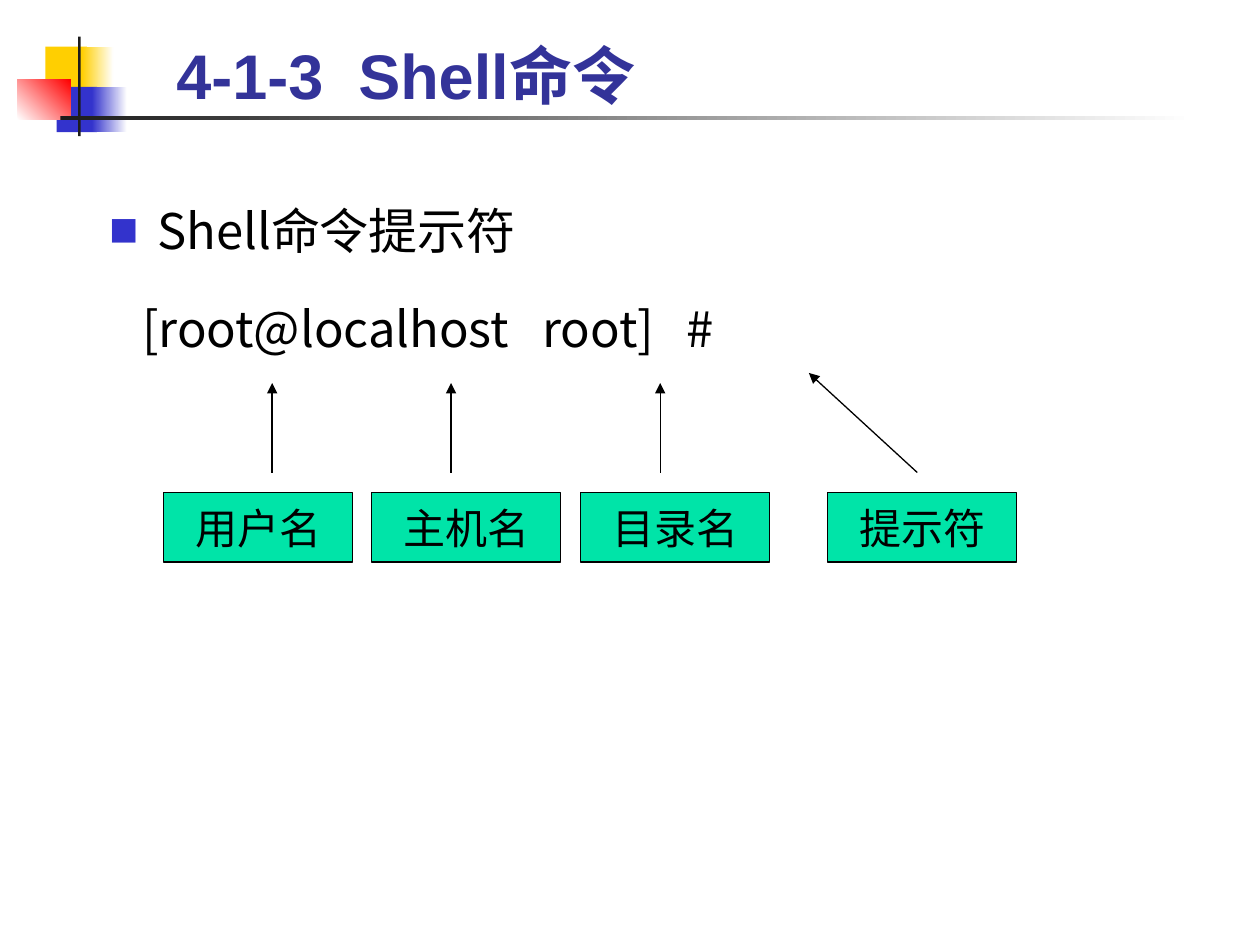
from dataclasses import dataclass

from lxml import etree
from pptx import Presentation
from pptx.dml.color import RGBColor
from pptx.enum.shapes import MSO_CONNECTOR, MSO_SHAPE
from pptx.enum.text import MSO_ANCHOR, PP_ALIGN
from pptx.oxml.ns import qn
from pptx.util import Inches, Pt

RECT = MSO_SHAPE.RECTANGLE
STRAIGHT = MSO_CONNECTOR.STRAIGHT
BOTTOM, MIDDLE = MSO_ANCHOR.BOTTOM, MSO_ANCHOR.MIDDLE
LEFT, CENTER = PP_ALIGN.LEFT, PP_ALIGN.CENTER


@dataclass(frozen=True)
class Theme:
    title: str = "333399"
    ink: str = "000000"
    white: str = "FFFFFF"
    yellow: str = "FFCF01"
    blue: str = "3333CC"
    red: str = "FF0000"
    dark: str = "1C1C1C"
    label: str = "00E4A8"
    title_font: str = "Arial"
    body_font: str = "Noto Sans CJK SC"
    label_font: str = "Times New Roman"
    title_size: int = 36
    body_size: int = 28
    label_size: int = 24
    line: float = 0.75


T = Theme()

# Label row: box lefts, shared top and size, and the arrows above
LABELS = [("用户名", 1.3), ("主机名", 2.95), ("目录名", 4.61), ("提示符", 6.57)]
LABEL_TOP, LABEL_W, LABEL_H = 3.91, 1.5, 0.55
ARROW_BASE, ARROW_TIP = 3.75, 3.04
ARROWS = [((x, ARROW_BASE), (x, ARROW_TIP)) for x in (2.16, 3.58, 5.24)]
ARROWS.append(((7.28, ARROW_BASE), (6.42, 2.96)))


def rgb(color):
    return RGBColor.from_string(color)


def add_run(p, text, font, size, color, bold=False):
    r = p.add_run()
    r.text = text
    r.font.name, r.font.size, r.font.bold = font, Pt(size), bold
    r.font.color.rgb = rgb(color)
    ea = etree.Element(qn("a:ea"), typeface=T.body_font)
    r.font._element.find(qn("a:latin")).addnext(ea)


def add_rect(s, box, start, end=None, angle=0):
    """Borderless rectangle, solid or fading from start to end."""
    sp = s.shapes.add_shape(RECT, *map(Inches, box))
    sp.shadow.inherit = False
    sp.line.fill.background()
    if end is None:
        sp.fill.solid()
        sp.fill.fore_color.rgb = rgb(start)
    else:
        sp.fill.gradient()
        sp.fill.gradient_angle = angle
        for stop, color in zip(sp.fill.gradient_stops, (start, end)):
            stop.color.rgb = rgb(color)
    return sp


def add_ornament(s):
    add_rect(s, (0.36, 0.37, 0.33, 0.36), T.yellow)
    add_rect(s, (0.65, 0.37, 0.25, 0.36), T.yellow, T.white)
    add_rect(s, (0.45, 0.69, 0.32, 0.36), T.blue)
    add_rect(s, (0.73, 0.69, 0.28, 0.36), T.blue, T.white)
    add_rect(s, (0.14, 0.63, 0.42, 0.32), T.white, T.red, 45)
    add_rect(s, (0.62, 0.29, 0.02, 0.79), T.dark)
    add_rect(s, (0.48, 0.92, 9, 0.03), T.dark, T.white)


def set_title(s, text):
    sp = s.shapes.title
    sp.left, sp.top, sp.width, sp.height = map(Inches, (1.3, 0.26, 8.52, 0.68))
    tf = sp.text_frame
    tf.vertical_anchor = BOTTOM
    p = tf.paragraphs[0]
    p.alignment = LEFT
    add_run(p, text, T.title_font, T.title_size, T.title, True)


def format_body(p, margin, indent=0, bullet=None):
    p.line_spacing = 1.5
    p.space_before = Pt(0.2 * T.body_size)
    pPr = p._p.get_or_add_pPr()
    pPr.set("marL", str(Inches(margin)))
    pPr.set("indent", str(Inches(indent)))
    if bullet:
        color = etree.SubElement(pPr, qn("a:buClr"))
        etree.SubElement(color, qn("a:srgbClr"), val=T.blue)
        etree.SubElement(pPr, qn("a:buSzPct"), val="60000")
        etree.SubElement(pPr, qn("a:buFont"), typeface=T.body_font)
        etree.SubElement(pPr, qn("a:buChar"), char=bullet)


def add_body(s):
    box = s.shapes.add_textbox(*map(Inches, (0.77, 1.31, 8.71, 5.35)))
    tf = box.text_frame
    tf.word_wrap = True
    p = tf.paragraphs[0]
    format_body(p, 0.38, -0.38, "■")
    add_run(p, "Shell命令提示符", T.body_font, T.body_size, T.ink)
    p = tf.add_paragraph()
    format_body(p, 0.26)
    add_run(p, "[root@localhost   root]   #", T.body_font, T.body_size, T.ink)


def add_label(s, text, left):
    sp = add_rect(s, (left, LABEL_TOP, LABEL_W, LABEL_H), T.label)
    sp.line.color.rgb = rgb(T.ink)
    sp.line.width = Pt(T.line)
    tf = sp.text_frame
    tf.word_wrap = False
    tf.vertical_anchor = MIDDLE
    p = tf.paragraphs[0]
    p.alignment = CENTER
    add_run(p, text, T.label_font, T.label_size, T.ink)


def add_arrow(s, start, end):
    c = s.shapes.add_connector(STRAIGHT, *map(Inches, start + end))
    c.line.color.rgb = rgb(T.ink)
    c.line.width = Pt(T.line)
    etree.SubElement(c.line._get_or_add_ln(), qn("a:tailEnd"), type="triangle")
    etree.SubElement(c._element.spPr, qn("a:effectLst"))


def main():
    prs = Presentation()
    prs.slide_width, prs.slide_height = Inches(10), Inches(7.5)
    s = prs.slides.add_slide(prs.slide_layouts[5])
    add_ornament(s)
    set_title(s, "4-1-3  Shell命令")
    add_body(s)
    # Each label names the part of the prompt its arrow points to
    for text, left in LABELS:
        add_label(s, text, left)
    for start, end in ARROWS:
        add_arrow(s, start, end)
    prs.save("out.pptx")


if __name__ == "__main__":
    main()
